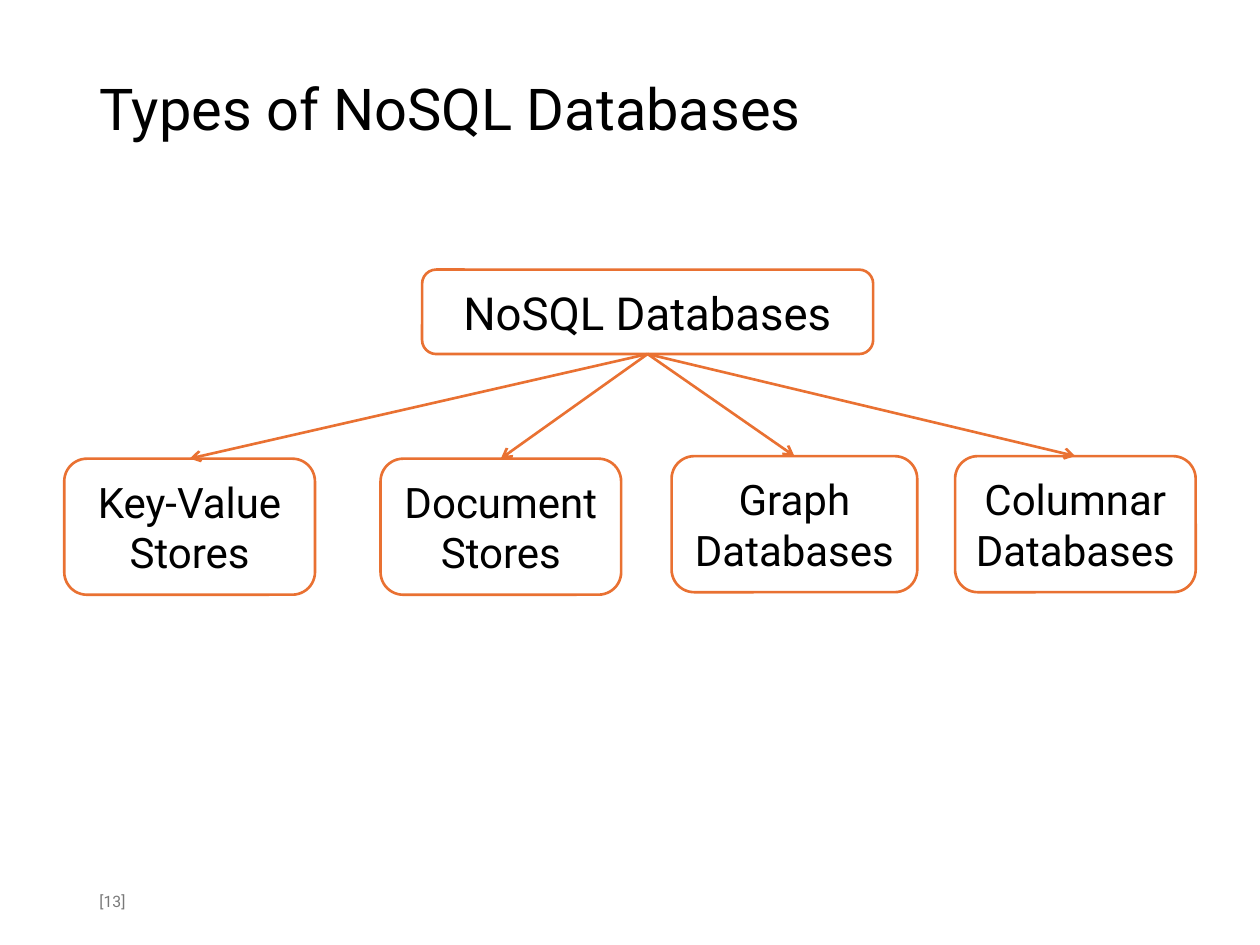
from lxml import etree
from pptx import Presentation
from pptx.dml.color import RGBColor
from pptx.enum import shapes, text
from pptx.oxml.ns import qn
from pptx.util import Inches, Pt

HEX = {"ink": "000000", "note": "797979", "line": "E97132", "fill": "FFFFFF"}
TYPES = [  # label, left, top, width
    ("Key-Value Stores", 0.51, 3.64, 1.99),
    ("Document Stores", 3.02, 3.64, 1.91),
    ("Graph Databases", 5.33, 3.62, 1.95),
    ("Columnar Databases", 7.58, 3.62, 1.91),
]
LEAF_H = 1.08


def color(name):
    return RGBColor.from_string(HEX[name])


def put(shape, words, size, ink="ink", align=text.PP_ALIGN.LEFT):
    """Write one paragraph, centred vertically, into a shape."""
    frame = shape.text_frame
    frame.text = words
    form = {"word_wrap": True, "auto_size": text.MSO_AUTO_SIZE.NONE,
            "vertical_anchor": text.MSO_ANCHOR.MIDDLE}
    for key, val in form.items():
        setattr(frame, key, val)
    para = frame.paragraphs[0]
    para.alignment = align
    for key, val in {"name": "Roboto", "size": Pt(size)}.items():
        setattr(para.font, key, val)
    para.font.color.rgb = color(ink)
    return frame


def title(slide, box):
    head = slide.shapes.title
    for key, val in zip(("left", "top", "width", "height"), box):
        setattr(head, key, Inches(val))
    frame = put(head, "Types of NoSQL Databases", 33)
    frame.paragraphs[0].line_spacing = 0.9
    frame.margin_bottom = Inches(0.53)  # lifts the line above the middle


def footer(slide, box):
    put(slide.shapes.add_textbox(*map(Inches, box)), "[13]", 9, "note")


def node(slide, words, size, box):
    shape = slide.shapes.add_shape(
        shapes.MSO_SHAPE.ROUNDED_RECTANGLE, *map(Inches, box))
    shape.shadow.inherit = False
    shape.fill.solid()
    shape.fill.fore_color.rgb = color("fill")
    shape.line.color.rgb = color("line")
    shape.line.width = Pt(1.5)
    put(shape, words, size, align=text.PP_ALIGN.CENTER)
    return shape


def arrow(slide, root, leaf):
    """Join the bottom of root to the top of leaf."""
    link = slide.shapes.add_connector(shapes.MSO_CONNECTOR.STRAIGHT, 0, 0, 0, 0)
    link.begin_connect(root, 2)
    link.end_connect(leaf, 0)
    link.line.color.rgb = color("line")
    link.line.width = Pt(1.5)
    etree.SubElement(link.line._get_or_add_ln(), qn("a:tailEnd"), type="arrow")
    etree.SubElement(link._element.spPr, qn("a:effectLst"))


def tree(slide, box):
    root = node(slide, "NoSQL Databases", 26, box)
    leaves = [node(slide, words, 24, (left, top, width, LEAF_H))
              for words, left, top, width in TYPES]
    for leaf in leaves:
        arrow(slide, root, leaf)


def main():
    deck = Presentation()
    deck.slide_width, deck.slide_height = Inches(10), Inches(7.5)
    slide = deck.slides.add_slide(deck.slide_layouts[5])
    title(slide, (0.69, 0.4, 8.62, 1.45))
    footer(slide, (0.69, 6.95, 2.25, 0.4))
    tree(slide, (3.35, 2.14, 3.58, 0.67))
    deck.save("out.pptx")


if __name__ == "__main__":
    main()
